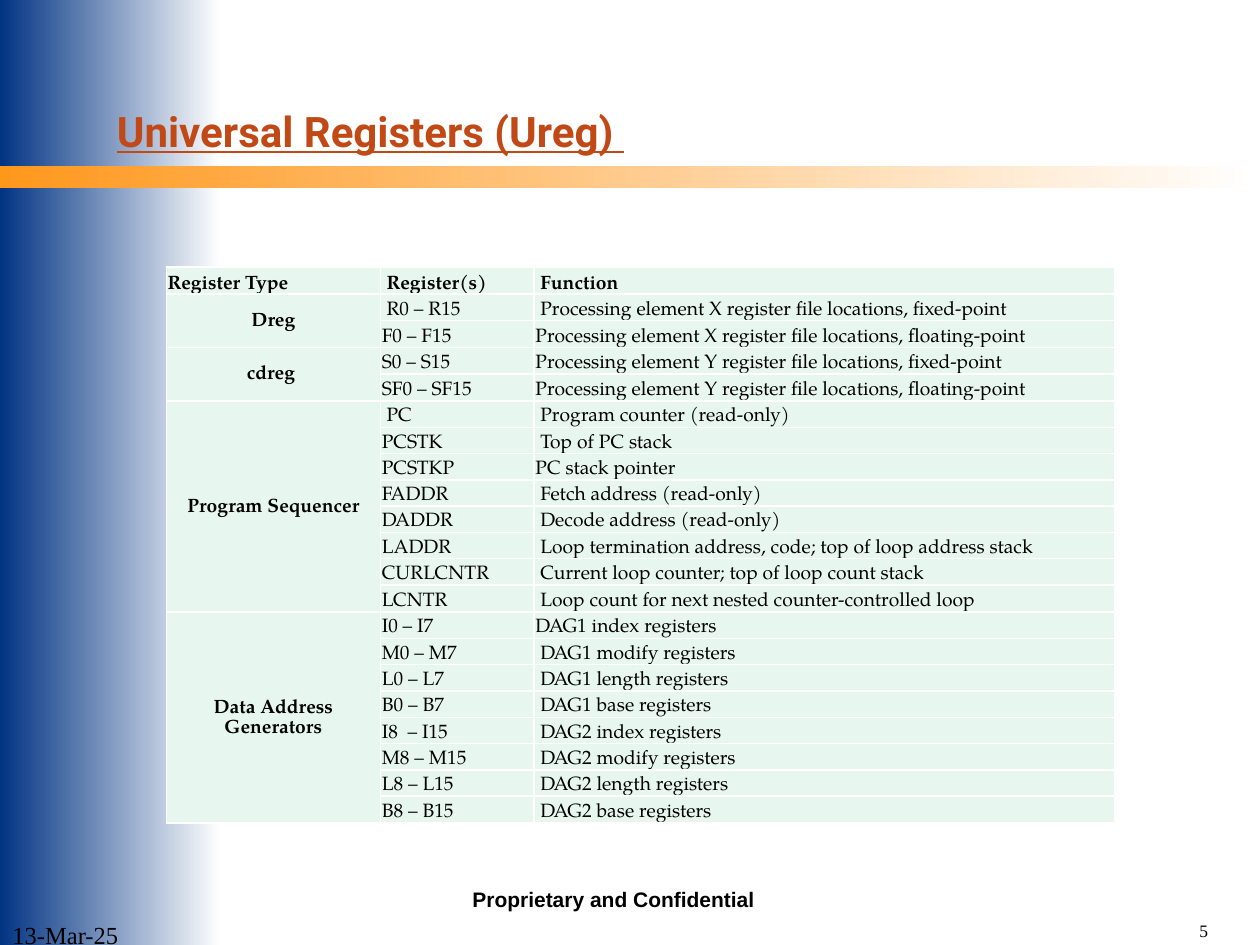
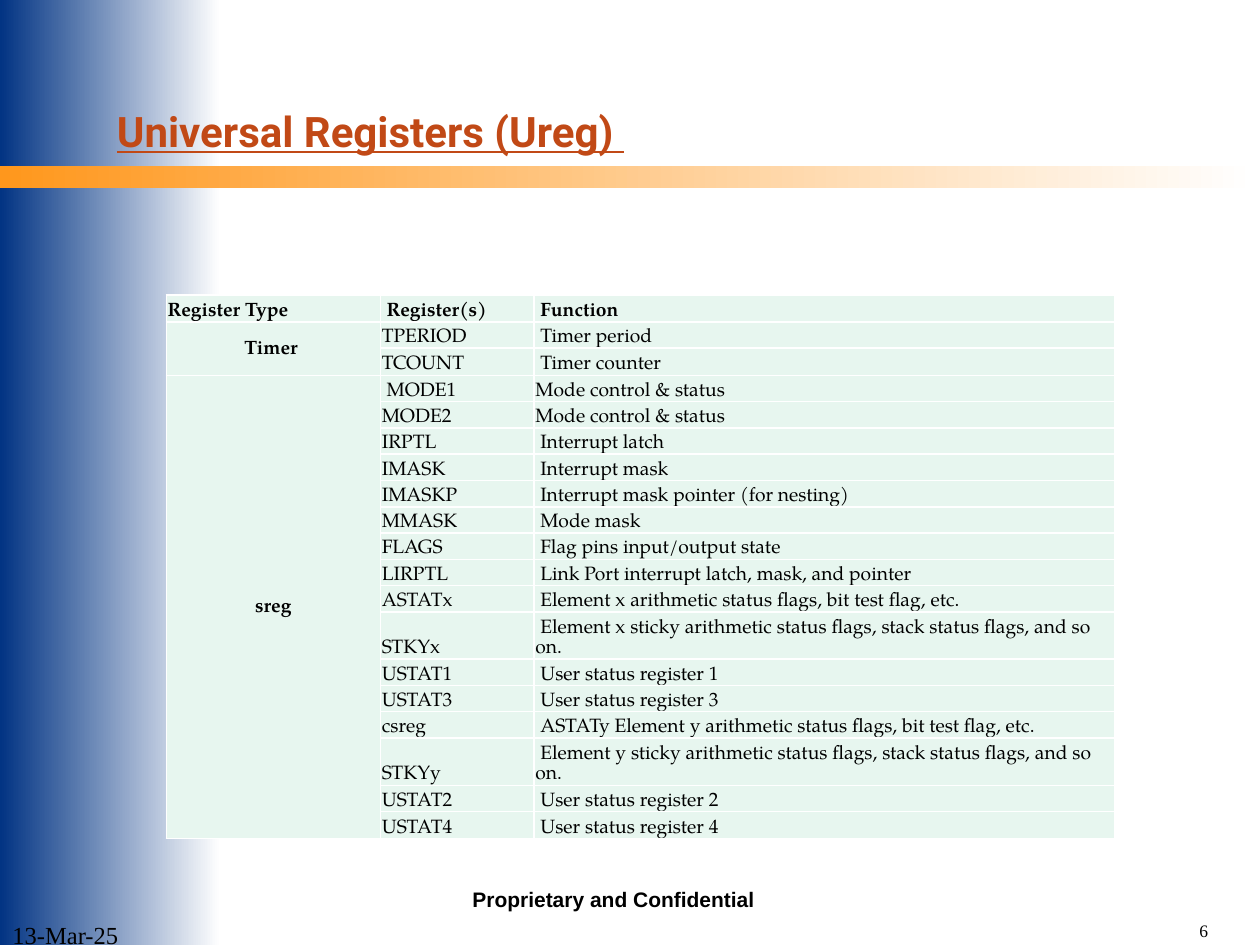
from lxml import etree
from pptx import Presentation
from pptx.dml.color import RGBColor
from pptx.enum.shapes import MSO_SHAPE as SHAPE
from pptx.enum.text import MSO_ANCHOR as ANCHOR, PP_ALIGN as ALIGN
from pptx.oxml.ns import qn
from pptx.util import Inches, Pt

# The slide is a grid of 100 columns by 75 rows.
WIDTH, HEIGHT = Inches(10), Inches(7.5)
COL, ROW = WIDTH / 100, HEIGHT / 75

NAVY, ORANGE, RUST = "003282", "FF971C", "C14916"
MINT, WHITE, BLACK = "E7F6EF", "FFFFFF", "000000"
SERIF, SANS, HEADING, TABLE_FONT = (
    "Times New Roman", "Arial", "Roboto", "TeX Gyre Pagella")

TITLE = "Universal Registers (Ureg) "
HEADERS = ("Register Type", " Register(s)", " Function")
TABLE_COLS = (17, 12.2, 46.1)
LINE_ROW, EDGE_ROW, TWO_LINE_ROW = 2.09, 2.15, 3.75
LONGEST_LINE = 65

CORE_REGISTERS = [
    ("Dreg", [
        (" R0 – R15", " Processing element X register file locations, fixed-point"),
        ("F0 – F15", "Processing element X register file locations, floating-point"),
    ]),
    ("cdreg ", [
        ("S0 – S15", "Processing element Y register file locations, fixed-point"),
        ("SF0 – SF15", "Processing element Y register file locations, floating-point"),
    ]),
    ("Program Sequencer", [
        (" PC", " Program counter (read-only)"),
        ("PCSTK", " Top of PC stack"),
        ("PCSTKP", "PC stack pointer"),
        ("FADDR", " Fetch address (read-only)"),
        ("DADDR", " Decode address (read-only)"),
        ("LADDR", " Loop termination address, code; top of loop address stack"),
        ("CURLCNTR", " Current loop counter; top of loop count stack"),
        ("LCNTR", " Loop count for next nested counter-controlled loop"),
    ]),
    ("Data Address Generators", [
        ("I0 – I7", "DAG1 index registers"),
        ("M0 – M7", " DAG1 modify registers"),
        ("L0 – L7", " DAG1 length registers"),
        ("B0 – B7", " DAG1 base registers"),
        ("I8  – I15", " DAG2 index registers"),
        ("M8 – M15", " DAG2 modify registers"),
        ("L8 – L15", " DAG2 length registers"),
        ("B8 – B15", " DAG2 base registers"),
    ]),
]

STATUS_REGISTERS = [
    ("Timer ", [
        ("TPERIOD", " Timer period"),
        ("TCOUNT", " Timer counter"),
    ]),
    ("sreg", [
        (" MODE1", "Mode control & status"),
        ("MODE2", "Mode control & status"),
        ("IRPTL", " Interrupt latch"),
        ("IMASK", " Interrupt mask"),
        ("IMASKP", " Interrupt mask pointer (for nesting)"),
        ("MMASK", " Mode mask"),
        ("FLAGS", " Flag pins input/output state"),
        ("LIRPTL", " Link Port interrupt latch, mask, and pointer"),
        ("ASTATx", " Element x arithmetic status flags, bit test flag, etc."),
        ("STKYx", " Element x sticky arithmetic status flags, "
                  "stack status flags, and so on."),
        ("USTAT1", " User status register 1"),
        ("USTAT3", " User status register 3"),
        ("csreg", " ASTATy Element y arithmetic status flags, bit test flag, etc."),
        ("STKYy", " Element y sticky arithmetic status flags, "
                  "stack status flags, and so on."),
        ("USTAT2", " User status register 2"),
        ("USTAT4", " User status register 4"),
    ]),
]


def rgb(color):
    return RGBColor.from_string(color)


def on_grid(left, top, width, height):
    """Turn columns and rows into slide lengths."""
    return round(left * COL), round(top * ROW), round(width * COL), round(height * ROW)


def set_font(p, name, size, color=BLACK, bold=False, underline=False):
    for r in p.runs:
        font = r.font
        font.name, font.size, font.bold = name, Pt(size), bold
        font.underline = underline
        font.color.rgb = rgb(color)


def add_band(s, box, color):
    """Add a bar that fades from the colour to white, left to right."""
    sp = s.shapes.add_shape(SHAPE.RECTANGLE, *on_grid(*box))
    sp.shadow.inherit = False
    sp.line.fill.background()
    sp.fill.gradient()
    sp.fill.gradient_angle = 0
    for stop, stop_color in zip(sp.fill.gradient_stops, (color, WHITE)):
        stop.color.rgb = rgb(stop_color)


def add_label(s, box, text, align=ALIGN.LEFT, anchor=ANCHOR.TOP, wrap=True, **font):
    tf = s.shapes.add_textbox(*on_grid(*box)).text_frame
    tf.word_wrap, tf.vertical_anchor = wrap, anchor
    tf.text = text
    p = tf.paragraphs[0]
    p.alignment = align
    set_font(p, **font)


def add_frame(s, number):
    """Add the bands, title and footers that every slide carries."""
    add_band(s, (-0.1, 0, 17.6, 75), NAVY)
    add_band(s, (-0.1, 13.2, 99.8, 1.7), ORANGE)
    add_label(s, (36.5, 69.9, 24.4, 3), "Proprietary and Confidential",
              align=ALIGN.CENTER, wrap=False, name=SANS, size=12, bold=True)
    add_label(s, (8.3, 7.5, 66.7, 5.8), TITLE, anchor=ANCHOR.MIDDLE,
              name=HEADING, size=24, color=RUST, bold=True, underline=True)
    add_label(s, (94.2, 72.5, 5.8, 2.5), str(number), name=SERIF, size=10)
    add_label(s, (0, 72.5, 20.8, 2.5), "13-Mar-25", name=SERIF, size=14)


def style_cell(cell):
    """Give a cell its white borders, fill and narrow margins."""
    tc_pr = cell._tc.get_or_add_tcPr()
    for side in ("lnL", "lnR", "lnT", "lnB"):
        ln = etree.SubElement(tc_pr, qn(f"a:{side}"), w=str(Pt(1)))
        fill = etree.SubElement(ln, qn("a:solidFill"))
        etree.SubElement(fill, qn("a:srgbClr"), val=WHITE)
    cell.fill.solid()
    cell.fill.fore_color.rgb = rgb(MINT)
    cell.margin_left = cell.margin_right = cell.margin_top = Inches(0.01)
    cell.margin_bottom = 0


def write_cell(cell, text, bold=False, align=ALIGN.LEFT, anchor=ANCHOR.BOTTOM):
    cell.text_frame.text = text
    cell.vertical_anchor = anchor
    p = cell.text_frame.paragraphs[0]
    p.alignment = align
    p.line_spacing = Pt(11.5)
    set_font(p, TABLE_FONT, 11, bold=bold)


def row_heights(groups):
    """Header and last row of a group are taller; long functions take two lines."""
    heights = [EDGE_ROW]
    for _, registers in groups:
        heights += [TWO_LINE_ROW if len(function) > LONGEST_LINE else LINE_ROW
                    for _, function in registers]
        heights[-1] = EDGE_ROW
    return heights


def add_register_table(s, left, top, groups):
    heights = row_heights(groups)
    box = on_grid(left, top, sum(TABLE_COLS), sum(heights))
    table = s.shapes.add_table(len(heights), len(TABLE_COLS), *box).table
    table.first_row = table.horz_banding = False
    for column, width in zip(table.columns, TABLE_COLS):
        column.width = round(width * COL)
    for row, height in zip(table.rows, heights):
        row.height = round(height * ROW)
    for cell in table.iter_cells():
        style_cell(cell)

    for column, header in enumerate(HEADERS):
        write_cell(table.cell(0, column), header, bold=True)
    first = 1
    for group, registers in groups:
        last = first + len(registers) - 1
        group_cell = table.cell(first, 0)
        group_cell.merge(table.cell(last, 0))
        write_cell(group_cell, group, bold=True, align=ALIGN.CENTER,
                   anchor=ANCHOR.MIDDLE)
        for i, texts in enumerate(registers, first):
            for column, text in enumerate(texts, 1):
                write_cell(table.cell(i, column), text)
        first = last + 1


def add_register_slide(prs, number, table_top, groups):
    s = prs.slides.add_slide(prs.slide_layouts[6])
    add_frame(s, number)
    add_register_table(s, 13.2, table_top, groups)


def main():
    prs = Presentation()
    prs.slide_width, prs.slide_height = WIDTH, HEIGHT
    add_register_slide(prs, 5, 21.2, CORE_REGISTERS)
    add_register_slide(prs, 6, 23.4, STATUS_REGISTERS)
    prs.save("out.pptx")


if __name__ == "__main__":
    main()
